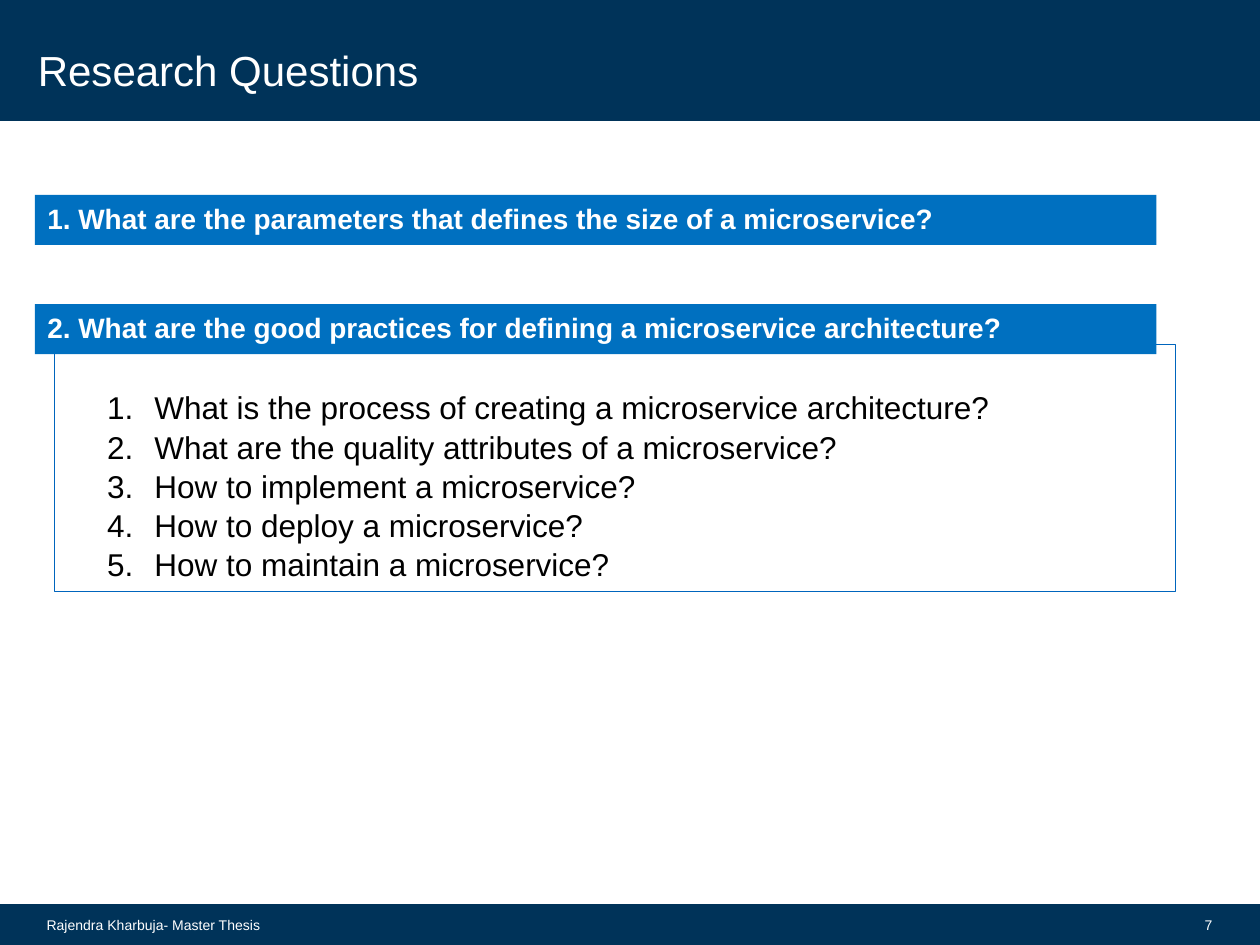
"""Build the Research Questions slide."""
from dataclasses import dataclass

from lxml import etree
from pptx import Presentation
from pptx.dml.color import RGBColor
from pptx.enum.shapes import MSO_SHAPE
from pptx.enum.text import MSO_ANCHOR, MSO_AUTO_SIZE, PP_ALIGN
from pptx.oxml.ns import qn
from pptx.util import Pt

RECTANGLE = MSO_SHAPE.RECTANGLE
TOP, MIDDLE, BOTTOM = MSO_ANCHOR.TOP, MSO_ANCHOR.MIDDLE, MSO_ANCHOR.BOTTOM
LEFT, RIGHT = PP_ALIGN.LEFT, PP_ALIGN.RIGHT
NO_AUTOFIT = MSO_AUTO_SIZE.NONE


@dataclass(frozen=True)
class Theme:
    font: str = "Arial"
    navy: RGBColor = RGBColor(0x00, 0x33, 0x59)
    outline: RGBColor = RGBColor(0x00, 0x65, 0xBD)
    banner: RGBColor = RGBColor(0x00, 0x70, 0xC0)
    white: RGBColor = RGBColor(0xFF, 0xFF, 0xFF)
    black: RGBColor = RGBColor(0x00, 0x00, 0x00)
    title_size: int = 24
    list_size: int = 18
    banner_size: int = 16
    footer_size: int = 8


theme = Theme()


def write_text(shape, lines, *, size, color=theme.white, bold=False, align=LEFT,
               anchor=TOP, wrap=True, margins=(7.2, 3.6), line_spacing=1):
    frame = shape.text_frame
    frame.text = "\n".join(lines)
    frame.auto_size = NO_AUTOFIT
    frame.word_wrap = wrap
    frame.vertical_anchor = anchor
    frame.margin_left = frame.margin_right = Pt(margins[0])
    frame.margin_top = frame.margin_bottom = Pt(margins[1])
    for paragraph in frame.paragraphs:
        paragraph.alignment = align
        paragraph.space_before = Pt(0)
        paragraph.line_spacing = line_spacing
        font = paragraph.runs[0].font
        font.name, font.size, font.bold = theme.font, Pt(size), bold
        font.color.rgb = color


def add_rectangle(shapes, box, fill=None, line=None, line_width=0.75):
    shape = shapes.add_shape(RECTANGLE, *map(Pt, box))
    shape.shadow.inherit = False
    if fill is None:
        shape.fill.background()
    else:
        shape.fill.solid()
        shape.fill.fore_color.rgb = fill
    if line is None:
        shape.line.fill.background()
    else:
        shape.line.color.rgb = line
        shape.line.width = Pt(line_width)
    return shape


presentation = Presentation()
presentation.slide_width, presentation.slide_height = Pt(720), Pt(540)
slide = presentation.slides.add_slide(presentation.slide_layouts[1])
shapes = slide.shapes
title, question_list = shapes.title, slide.placeholders[1]

for top, height in ((0, 68.4), (517, 23)):
    band = add_rectangle(shapes, (0, top, 720, height), theme.navy, theme.navy, 1.35)
    title._element.addprevious(band._element)

title.left, title.top, title.width, title.height = map(Pt, (14.4, 26, 593.3, 28))
write_text(title, ["Research Questions"], size=theme.title_size,
           anchor=BOTTOM, margins=(7.2, 0))

footer = shapes.add_textbox(Pt(19.5), Pt(517), Pt(153.5), Pt(23))
write_text(footer, ["Rajendra Kharbuja- Master Thesis"], size=theme.footer_size,
           anchor=MIDDLE)
page_number = shapes.add_textbox(Pt(680.5), Pt(517), Pt(19.5), Pt(23))
write_text(page_number, ["7"], size=theme.footer_size, align=RIGHT,
           anchor=MIDDLE, wrap=False)

add_rectangle(shapes, (31.1, 197, 640.8, 141), line=theme.outline)
banners = (
    (111.4, "1. What are the parameters that defines the size of a microservice?"),
    (173.8, "2. What are the good practices for defining a microservice architecture?"),
)
for top, question in banners:
    banner = add_rectangle(shapes, (20, top, 640.8, 28.6), theme.banner)
    write_text(banner, [question], size=theme.banner_size, bold=True)

question_list.left, question_list.top = Pt(54), Pt(217.4)
question_list.width, question_list.height = Pt(561.6), Pt(116.6)
write_text(question_list, [
    "What is the process of creating a microservice architecture?",
    "What are the quality attributes of a microservice?",
    "How to implement a microservice?",
    "How to deploy a microservice?",
    "How to maintain a microservice?",
], size=theme.list_size, color=theme.black, line_spacing=1.04)
for paragraph in question_list.text_frame.paragraphs:
    properties = paragraph._p.get_or_add_pPr()
    properties.set("marL", str(Pt(27)))
    properties.set("indent", str(Pt(-27)))
    etree.SubElement(properties, qn("a:buFont"), typeface="+mj-lt")
    etree.SubElement(properties, qn("a:buAutoNum"), type="arabicPeriod")

presentation.save("out.pptx")
